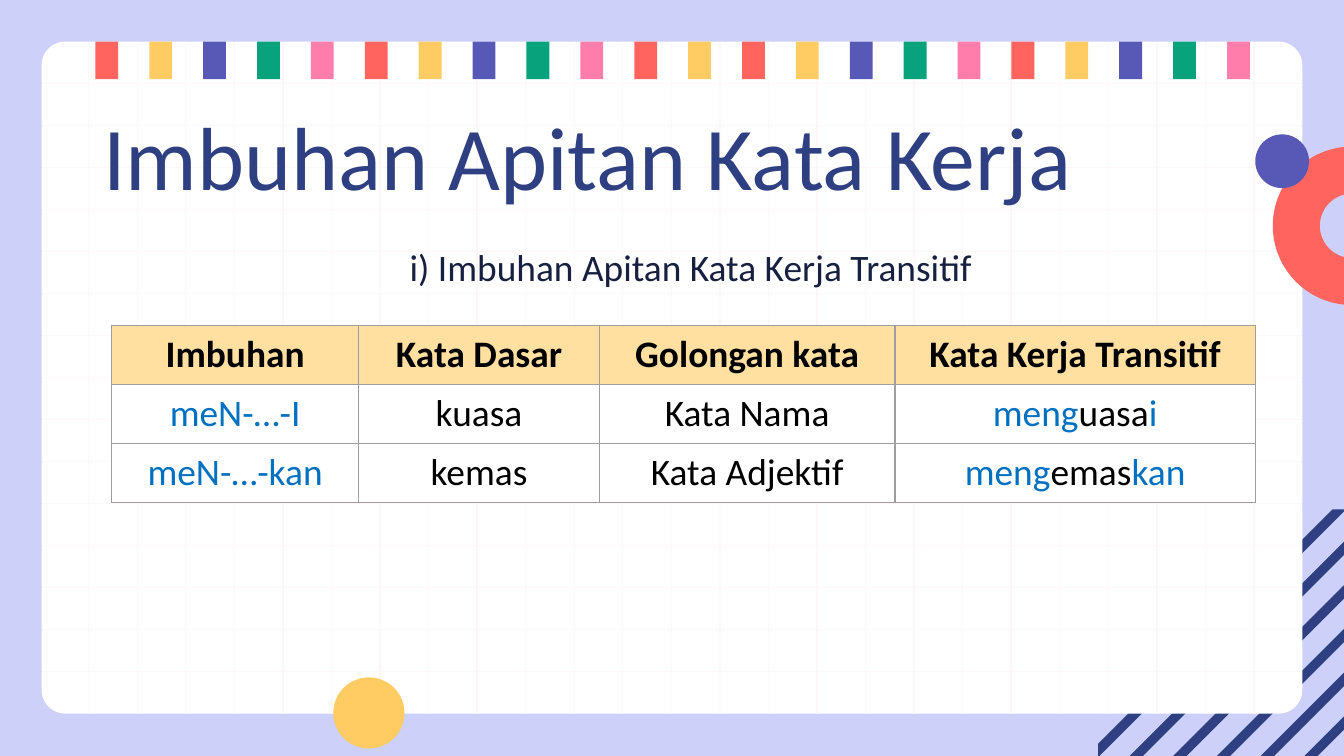
from dataclasses import dataclass
from itertools import cycle, islice
from math import cos, radians, sin

from pptx import Presentation
from pptx.dml.color import RGBColor
from pptx.enum.shapes import MSO_CONNECTOR as CONN, MSO_SHAPE as SHAPE
from pptx.enum.text import MSO_ANCHOR as ANCHOR, PP_ALIGN as ALIGN
from pptx.oxml.ns import qn
from pptx.util import Inches, Pt
from lxml.etree import SubElement


@dataclass(frozen=True)
class Theme:
    font: str = "Calibri"
    title_size: int = 48
    body_size: int = 20
    rule: float = 0.75
    back: str = "CDD1F9"
    white: str = "FFFFFF"
    black: str = "000000"
    grid: str = "FFF7F7"
    navy: str = "2E4081"
    ink: str = "172040"
    affix: str = "0070C0"
    head: str = "FFE0A1"
    border: str = "9E9E9E"
    red: str = "FF645E"
    yellow: str = "FFCC63"
    purple: str = "5859B6"
    green: str = "08A37C"
    pink: str = "FF7DAB"


W = 10
H = W * 9 / 16
PANEL = (0.31, 0.31, 9.38, 5)
COLS = (1.84, 1.79, 2.2, 2.68)
HEADS = ("Imbuhan", "Kata Dasar", "Golongan kata", "Kata Kerja Transitif")
ROWS = (
    ("meN-…-I", "kuasa", "Kata Nama", ("meng", "uasa", "i")),
    ("meN-…-kan", "kemas", "Kata Adjektif", ("meng", "emas", "kan")),
)


def rgb(color):
    return RGBColor.from_string(color)


class SlideBuilder:
    def __init__(self, slide, theme):
        self.s = slide
        self.t = theme

    def background(self, color):
        fill = self.s.background.fill
        fill.solid()
        fill.fore_color.rgb = rgb(color)

    def paint(self, sp, color):
        sp.shadow.inherit = False
        sp.fill.solid()
        sp.fill.fore_color.rgb = rgb(color)
        sp.line.fill.background()
        return sp

    def shape(self, kind, box, color):
        return self.paint(self.s.shapes.add_shape(kind, *map(Inches, box)), color)

    def outline(self, points, color):
        start, *rest = [(Inches(x), Inches(y)) for x, y in points]
        fb = self.s.shapes.build_freeform(*start, scale=1.0)
        fb.add_line_segments(rest, close=True)
        return self.paint(fb.convert_to_shape(), color)

    def line(self, start, end, color):
        ln = self.s.shapes.add_connector(CONN.STRAIGHT, *map(Inches, start + end))
        ln.line.color.rgb = rgb(color)
        ln.line.width = Pt(self.t.rule)
        SubElement(ln._element.spPr, qn("a:effectLst"))

    def run(self, p, text, color, size, bold=False):
        r = p.add_run()
        r.text = text
        r.font.color.rgb = rgb(color)
        style = {"name": self.t.font, "size": Pt(size), "bold": bold}
        for key, value in style.items():
            setattr(r.font, key, value)

    def text(self, box, text, color, size, align=ALIGN.LEFT, spacing=1.0, indent=0):
        tf = self.s.shapes.add_textbox(*map(Inches, box)).text_frame
        frame = {"word_wrap": True, "vertical_anchor": ANCHOR.TOP}
        for side in ("left", "right", "top", "bottom"):
            frame[f"margin_{side}"] = Inches(0.1)
        for key, value in frame.items():
            setattr(tf, key, value)
        p = tf.paragraphs[0]
        for key, value in {"alignment": align, "line_spacing": spacing}.items():
            setattr(p, key, value)
        if indent:
            p._p.get_or_add_pPr().set("marL", str(Inches(indent)))
        self.run(p, text, color, size)
        return p

    def cell(self, cell, parts, fill, bold=False):
        p = cell.text_frame.paragraphs[0]
        p.alignment = ALIGN.CENTER
        for text, color in parts:
            self.run(p, text, color, self.t.body_size, bold)
        tcPr = cell._tc.get_or_add_tcPr()
        for side in ("lnL", "lnR", "lnT", "lnB"):
            ln = SubElement(tcPr, qn(f"a:{side}"), w=str(Pt(self.t.rule)))
            SubElement(SubElement(ln, qn("a:solidFill")), qn("a:srgbClr"), val=self.t.border)
        cell.fill.solid()
        cell.fill.fore_color.rgb = rgb(fill)

    def table(self, left, top, row_height):
        t = self.t
        box = (left, top, sum(COLS), row_height * (len(ROWS) + 1))
        tbl = self.s.shapes.add_table(len(ROWS) + 1, len(COLS), *map(Inches, box)).table
        for col, width in zip(tbl.columns, COLS):
            col.width = Inches(width)
        for j, head in enumerate(HEADS):
            self.cell(tbl.cell(0, j), [(head, t.black)], t.head, bold=True)
        for i, (affix, base, group, (prefix, stem, suffix)) in enumerate(ROWS, 1):
            verb = [(prefix, t.affix), (stem, t.black), (suffix, t.affix)]
            row = ([(affix, t.affix)], [(base, t.black)], [(group, t.black)], verb)
            for j, parts in enumerate(row):
                self.cell(tbl.cell(i, j), parts, t.white)

    def hatching(self, left, top, count=7, first=15.33, last=13.38, band=0.1):
        step = (first - last) / (count - 1)
        for k in range(count):
            inner = first - k * step
            outer = inner + band
            (ax, ay), (bx, by) = [(min(W, c - top), max(top, c - W)) for c in (inner, outer)]
            (cx, cy), (dx, dy) = [(max(left, c - H), min(H, c - left)) for c in (outer, inner)]
            upper = [(ax, ay), (max(ax, bx), min(ay, by)), (bx, by)]
            lower = [(cx, cy), (min(cx, dx), max(cy, dy)), (dx, dy)]
            self.outline(upper + lower, self.t.navy)

    def grid(self, first=0.66, last=9.33, columns=25, rows=16):
        x, y, w, h = PANEL
        for i in range(1, rows):
            gy = y + h * i / rows
            self.line((x, gy), (x + w, gy), self.t.grid)
        for i in range(columns):
            gx = first + (last - first) * i / (columns - 1)
            self.line((gx, y), (gx, y + h), self.t.grid)

    def stripes(self, left, pitch):
        t = self.t
        colors = (t.red, t.yellow, t.purple, t.green, t.pink)
        order = [*islice(cycle(colors), 12), *islice(cycle(colors), 10)]
        for i, color in enumerate(order):
            self.shape(SHAPE.RECTANGLE, (left + i * pitch, PANEL[1], 0.17, 0.28), color)

    def half_ring(self, cx, cy, outer, inner):
        angles = range(90, 271, 5)
        arcs = [(outer, a) for a in angles] + [(inner, a) for a in reversed(angles)]
        points = [(cx + r * cos(radians(a)), cy + r * sin(radians(a))) for r, a in arcs]
        self.outline(points, self.t.red)


def main():
    prs = Presentation()
    prs.slide_width, prs.slide_height = Inches(W), Inches(H)
    t = Theme()
    b = SlideBuilder(prs.slides.add_slide(prs.slide_layouts[6]), t)
    b.background(t.back)
    b.hatching(8.17, 3.79)
    b.shape(SHAPE.ROUNDED_RECTANGLE, PANEL, t.white).adjustments[0] = 0.07 / 2
    b.grid()
    b.stripes(0.71, 8.42 / 21)
    b.half_ring(10.06, 1.68, 0.59, 0.24)
    b.shape(SHAPE.OVAL, (2.48, 5.04, 0.53, 0.53), t.yellow)
    b.shape(SHAPE.OVAL, (9.34, 1, 0.4, 0.4), t.purple)
    title = b.text((0.67, 0.65, 8.43, 0.63), "Imbuhan Apitan Kata Kerja", t.navy, t.title_size)
    title.add_line_break()
    b.text((0.59, 1.55, 8.95, 3.54), "i) Imbuhan Apitan Kata Kerja Transitif",
           t.ink, t.body_size, ALIGN.CENTER, 1.5, 0.15)
    b.table(0.83, 2.42, 0.44)
    prs.save("out.pptx")


if __name__ == "__main__":
    main()
